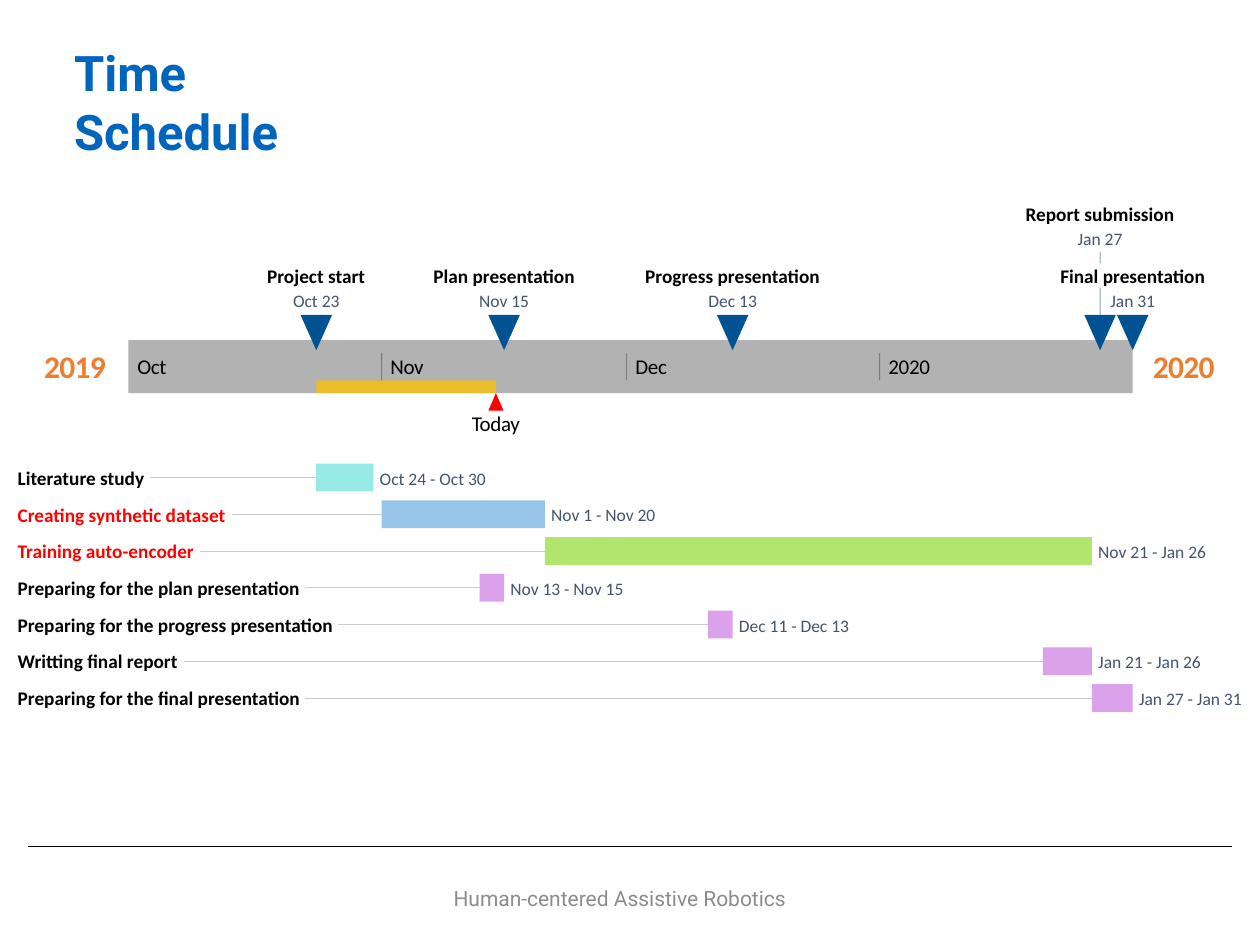
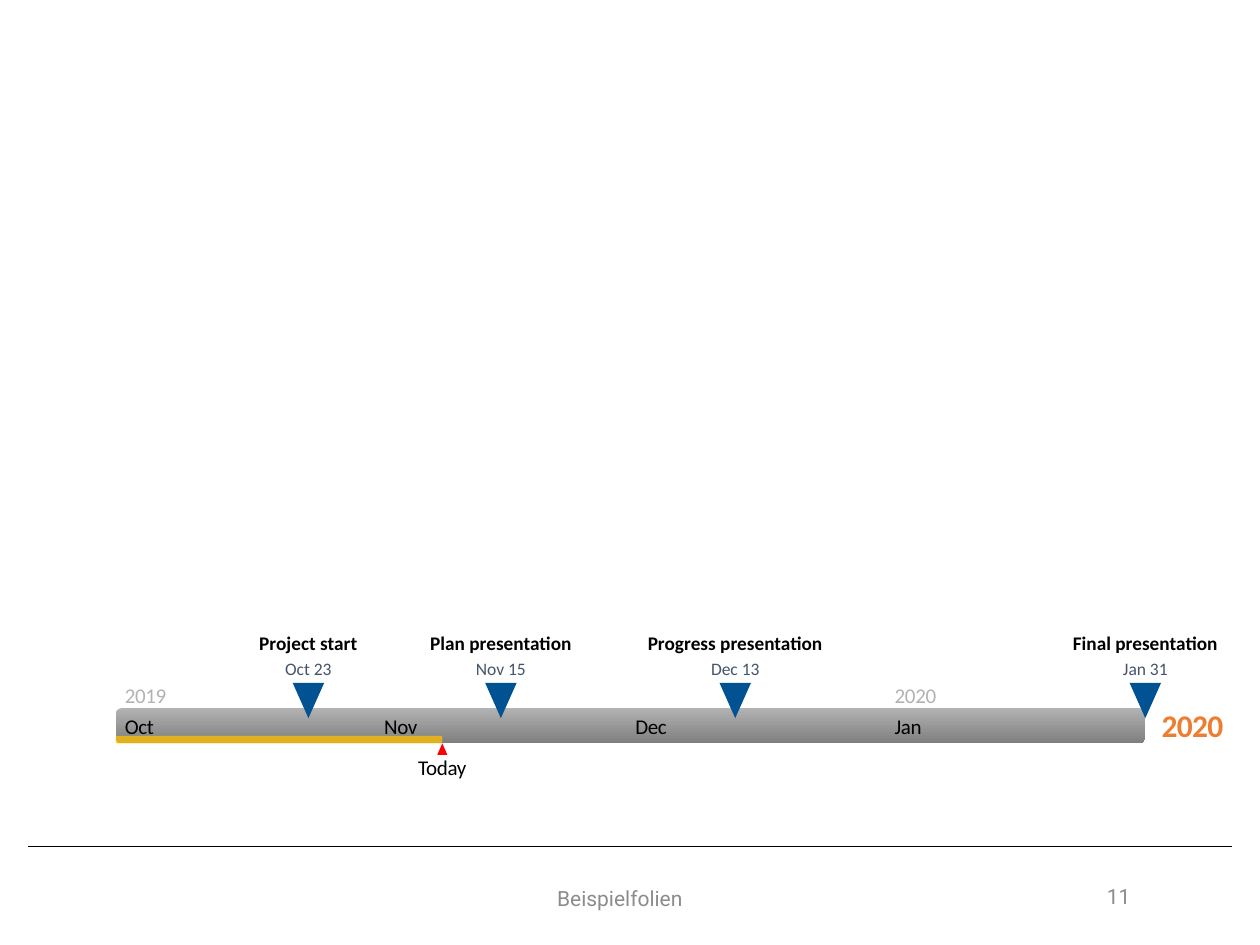
from typing import NamedTuple

from pptx import Presentation
from pptx.dml.color import RGBColor
from pptx.enum.shapes import MSO_CONNECTOR, MSO_SHAPE
from pptx.enum.text import MSO_ANCHOR, PP_ALIGN
from pptx.oxml.ns import qn
from pptx.util import Inches, Pt
from lxml import etree

RECTANGLE = MSO_SHAPE.RECTANGLE
ROUNDED = MSO_SHAPE.ROUNDED_RECTANGLE
TRIANGLE = MSO_SHAPE.ISOSCELES_TRIANGLE
STRAIGHT = MSO_CONNECTOR.STRAIGHT
LEFT, CENTER, RIGHT = PP_ALIGN.LEFT, PP_ALIGN.CENTER, PP_ALIGN.RIGHT
TOP, MIDDLE = MSO_ANCHOR.TOP, MSO_ANCHOR.MIDDLE
LEFT_SIDE, RIGHT_SIDE = 1, 3

COLORS = {
    "title": "0065BD", "footer": "8C8C8C", "black": "000000", "date": "44546A",
    "year": "ED7D31", "bar": "B2B2B2", "bar_dark": "7F7F7F", "elapsed": "FFC000",
    "red": "FF0000", "milestone": "005293", "leader": "1F497E", "rule": "CCCCCC",
    "study": "98EAE6", "dataset": "98C6EA", "training": "B1E56D", "writing": "DCA1EB",
}
STYLES = {
    "title": {"name": "Roboto", "size": Pt(28), "bold": True},
    "footer": {"name": "Roboto", "size": Pt(12)},
    "year": {"name": "Calibri", "size": Pt(18), "bold": True},
    "month": {"name": "Calibri", "size": Pt(12)},
    "label": {"name": "Calibri", "size": Pt(11), "bold": True},
    "date": {"name": "Calibri", "size": Pt(10)},
}
SPACING = {"year": -40, "month": -20}

MONTH_STARTS = {"Oct": 0, "Nov": 31, "Dec": 61, "Jan": 92}
TOTAL_DAYS = 123

MILESTONES = [
    ("Project start", "Oct 23", 0.9),
    ("Plan presentation", "Nov 15", 1.25),
    ("Progress presentation", "Dec 13", 1.5),
    ("Final presentation", "Jan 31", 1.25),
]
TASKS = [
    ("Literature study", "Oct 24", "Oct 30", 1.05, "black", "study"),
    ("Creating synthetic dataset", "Nov 1", "Nov 20", 1.7, "red", "dataset"),
    ("Training auto-encoder", "Nov 21", "Jan 26", 1.45, "red", "training"),
    ("Preparing for the plan presentation", "Nov 13", "Nov 15", 2.28, "black", "writing"),
    ("Preparing for the progress presentation", "Dec 11", "Dec 13", 2.54, "black", "writing"),
    ("Writting final report", "Jan 21", "Jan 26", 1.32, "black", "writing"),
    ("Preparing for the final presentation", "Jan 27", "Jan 31", 2.28, "black", "writing"),
]


class Box(NamedTuple):
    """A rectangle in inches."""
    left: float
    top: float
    width: float
    height: float

    @property
    def bottom(self):
        """Return the bottom edge."""
        return self.top + self.height

    @property
    def middle(self):
        """Return the vertical centre."""
        return self.top + self.height / 2


def rgb(color):
    """Return the named colour."""
    return RGBColor.from_string(COLORS[color])


def set_alpha(shape, percent):
    """Make the single colour of a shape partly transparent."""
    for color in shape._element.spPr.iter(qn("a:srgbClr")):
        etree.SubElement(color, qn("a:alpha")).set("val", str(percent * 1000))


def add_text(slide, box, text, style, color="black", align=LEFT, anchor=MIDDLE,
             wrap=False, inset=0):
    """Add one styled line of text."""
    shape = slide.shapes.add_textbox(*map(Inches, box))
    frame = shape.text_frame
    frame.word_wrap = wrap
    frame.vertical_anchor = anchor
    for side in ("left", "right", "top", "bottom"):
        margin = inset if side in ("left", "right") else inset / 2
        setattr(frame, f"margin_{side}", Inches(margin))
    paragraph = frame.paragraphs[0]
    paragraph.alignment = align
    run = paragraph.add_run()
    run.text = text
    for attribute, value in STYLES[style].items():
        setattr(run.font, attribute, value)
    run.font.color.rgb = rgb(color)
    if style in SPACING:
        run._r.get_or_add_rPr().set("spc", str(SPACING[style]))
    return shape


def add_centered(slide, center, top, width, height, text, style, color="black"):
    """Add text centred on a horizontal position."""
    box = Box(center - width / 2, top, width, height)
    return add_text(slide, box, text, style, color, CENTER)


def add_filled(slide, kind, box, color, alpha=None):
    """Add a flat shape without outline."""
    shape = slide.shapes.add_shape(kind, *map(Inches, box))
    shape.shadow.inherit = False
    shape.fill.solid()
    shape.fill.fore_color.rgb = rgb(color)
    shape.line.fill.background()
    if alpha:
        set_alpha(shape, alpha)
    return shape


def add_line(slide, start, end, color, width=0.5, alpha=None):
    """Add a straight line between two points."""
    line = slide.shapes.add_connector(STRAIGHT, *map(Inches, (*start, *end)))
    line.line.color.rgb = rgb(color)
    line.line.width = Pt(width)
    if alpha:
        set_alpha(line, alpha)
    etree.SubElement(line._element.spPr, qn("a:effectLst"))
    return line


def day_start(bar, date):
    """Return where a date begins on the bar."""
    month, day = date.split()
    return bar.left + (MONTH_STARTS[month] + int(day) - 1) * bar.width / TOTAL_DAYS


def day_end(bar, date):
    """Return where a date ends on the bar."""
    return day_start(bar, date) + bar.width / TOTAL_DAYS


def add_page(presentation, footer, number=None):
    """Add a blank slide with the footer rule, footer and page number."""
    slide = presentation.slides.add_slide(presentation.slide_layouts[6])
    add_line(slide, (9.78, 6.72), (0.22, 6.72), "black", 0.75)
    add_text(slide, Box(1.69, 6.92, 6.46, 0.41), footer, "footer", "footer", CENTER,
             wrap=True, inset=0.1)
    if number:
        add_text(slide, Box(8.15, 6.91, 0.92, 0.4), number, "footer", "footer", RIGHT,
                 wrap=True, inset=0.1)
    return slide


def add_year(slide, bar, left, year):
    """Add a large year beside the bar."""
    add_text(slide, Box(left, bar.middle - 0.16, 0.49, 0.31), year, "year", "year", CENTER)


def add_months(slide, bar, names):
    """Write the month names inside the bar."""
    for month, name in zip(MONTH_STARTS, names):
        left = day_start(bar, f"{month} 1") + 0.07
        add_text(slide, Box(left, bar.middle - 0.1, 0.35, 0.2), name, "month")


def add_today(slide, bar, kind, start, today, thickness, marker):
    """Add the elapsed strip and the marker of the current day."""
    strip = Box(start, bar.bottom - thickness, today - start, thickness)
    add_filled(slide, kind, strip, "elapsed", 75)
    width, height = marker
    add_filled(slide, TRIANGLE, Box(today - width / 2, bar.bottom, width, height), "red")
    add_centered(slide, today, bar.bottom + height, 0.5, 0.2, "Today", "month")


def add_milestone(slide, bar, label, date, width, rise=0):
    """Add a milestone triangle with its label and date above."""
    center, top = day_end(bar, date), bar.top - 0.2
    triangle = add_filled(slide, TRIANGLE, Box(center - 0.125, top, 0.25, 0.28), "milestone")
    triangle._element.spPr.find(qn("a:xfrm")).set("flipV", "1")
    add_centered(slide, center, top - 0.41 - rise, width, 0.19, label, "label")
    add_centered(slide, center, top - 0.2 - rise, 0.5, 0.17, date, "date", "date")


def add_tasks(slide, bar, area):
    """Add the task rows, evenly spaced in the area and aligned to the bar."""
    height = 0.22
    step = (area.height - height) / (len(TASKS) - 1)
    for row, (name, start, end, width, text_color, fill) in enumerate(TASKS):
        top = area.top + row * step
        left, right = day_start(bar, start), day_end(bar, end)
        label = add_text(slide, Box(area.left, top, width, height), name, "label", text_color)
        span = add_filled(slide, RECTANGLE, Box(left, top, right - left, height), fill)
        middle = top + height / 2
        rule = add_line(slide, (area.left + width, middle), (left, middle), "rule")
        rule.begin_connect(label, RIGHT_SIDE)
        rule.end_connect(span, LEFT_SIDE)
        add_text(slide, Box(right + 0.05, top + 0.03, 0.95, 0.17), f"{start} - {end}",
                 "date", "date")


def build_schedule(presentation):
    """Build the slide with the timeline and the task rows."""
    slide = add_page(presentation, "Human-centered Assistive Robotics")
    bar = Box(1.02, 2.7, 7.97, 0.42)
    add_text(slide, Box(0.49, 0.29, 2.57, 0.57), "Time Schedule", "title", "title",
             anchor=TOP, wrap=True, inset=0.1)
    add_year(slide, bar, 0.35, "2019")
    add_year(slide, bar, 9.15, "2020")
    report = day_end(bar, "Jan 27")
    for top, bottom in ((2, 2.09), (2.28, 2.63)):
        add_line(slide, (report, top), (report, bottom), "leader", alpha=50)
    add_filled(slide, RECTANGLE, bar, "bar")
    add_today(slide, bar, RECTANGLE, day_end(bar, "Oct 23"), day_end(bar, "Nov 14"),
              0.1, (0.12, 0.14))
    add_months(slide, bar, ("Oct", "Nov", "Dec", "2020"))
    for month in ("Nov", "Dec", "Jan"):
        tick = day_start(bar, f"{month} 1")
        add_line(slide, (tick, bar.top + 0.1), (tick, bar.bottom - 0.1), "black", alpha=30)
    add_tasks(slide, bar, Box(0.14, 3.68, 9.71, 1.97))
    add_milestone(slide, bar, "Report submission", "Jan 27", 1.3, rise=0.49)
    for milestone in MILESTONES:
        add_milestone(slide, bar, *milestone)


def build_timeline(presentation):
    """Build the slide with the timeline alone."""
    slide = add_page(presentation, "Beispielfolien", "11")
    bar = Box(0.92, 5.62, 8.17, 0.28)
    add_year(slide, bar, 9.22, "2020")
    fill = add_filled(slide, ROUNDED, bar, "bar").fill
    fill.gradient()
    fill.gradient_angle = 270
    for stop, color in zip(fill.gradient_stops, ("bar", "bar_dark")):
        stop.color.rgb = rgb(color)
    add_today(slide, bar, ROUNDED, bar.left, day_end(bar, "Nov 8"), 0.06, (0.08, 0.09))
    add_months(slide, bar, MONTH_STARTS)
    for date, year in (("Oct 1", "2019"), ("Jan 1", "2020")):
        left = day_start(bar, date) + 0.07
        add_text(slide, Box(left, bar.top - 0.2, 0.35, 0.2), year, "month", "bar")
    for milestone in MILESTONES:
        add_milestone(slide, bar, *milestone)


def main():
    """Build and save the presentation."""
    presentation = Presentation()
    presentation.slide_width = Inches(10)
    presentation.slide_height = Inches(7.5)
    build_schedule(presentation)
    build_timeline(presentation)
    presentation.save("out.pptx")


if __name__ == "__main__":
    main()
